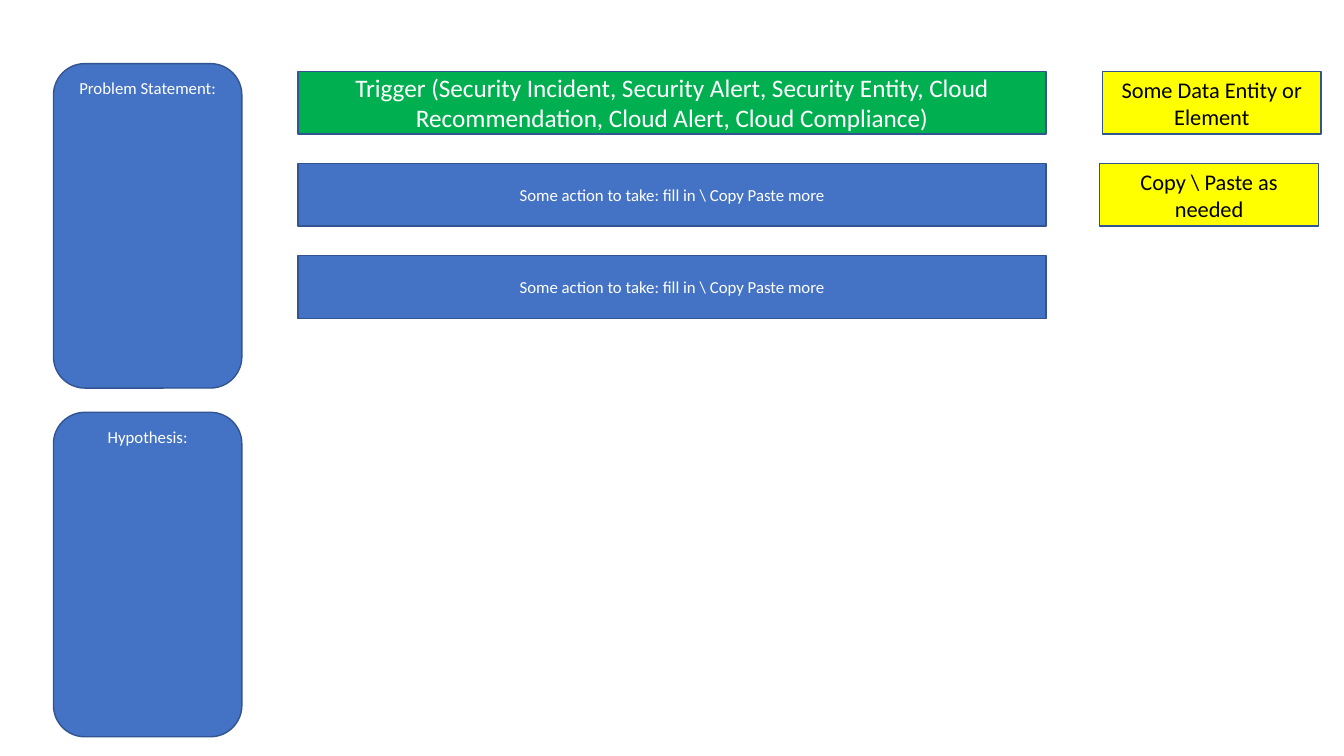
import pptx
import pptx.dml.color
import pptx.enum.shapes
import pptx.enum.text
import pptx.util

Pt = pptx.util.Pt
SHAPES = pptx.enum.shapes.MSO_SHAPE
ANCHOR = pptx.enum.text.MSO_ANCHOR

COLOURS = {
    "blue": "4472C4",
    "outline": "325491",
    "green": "00B050",
    "yellow": "FFFF00",
    "white": "FFFFFF",
    "black": "000000",
}


def colour(name):
    return pptx.dml.color.RGBColor.from_string(COLOURS[name])


def add_box(text, *, left, top, width, height, kind=SHAPES.RECTANGLE, fill="blue",
            size=12, ink="white", anchor=ANCHOR.MIDDLE):
    box = page.shapes.add_shape(kind, Pt(left), Pt(top), Pt(width), Pt(height))
    box.shadow.inherit = False
    box.fill.solid()
    box.fill.fore_color.rgb = colour(fill)
    box.line.color.rgb = colour("outline")
    box.line.width = Pt(1)
    frame = box.text_frame
    frame.word_wrap = True
    frame.vertical_anchor = anchor
    para = frame.paragraphs[0]
    para.alignment = pptx.enum.text.PP_ALIGN.CENTER
    span = para.add_run()
    span.text = text
    span.font.name = "Calibri"
    span.font.size = Pt(size)
    span.font.color.rgb = colour(ink)


deck = pptx.Presentation()
deck.slide_width = Pt(960)
deck.slide_height = Pt(540)
page = deck.slides.add_slide(deck.slide_layouts[6])

# Left column: problem and hypothesis
for index, heading in enumerate(["Problem Statement:", "Hypothesis:"]):
    add_box(heading, left=38.2, top=45.4 + index * 249.1, width=134.6, height=231.8,
            kind=SHAPES.ROUNDED_RECTANGLE, anchor=ANCHOR.TOP)

# Rows shared by the steps and the data elements
row_top, row_pitch, row_height = 51, 65.8, 44.7

# Middle column: trigger, then actions
action = "Some action to take: fill in \\ Copy Paste more"
steps = [
    ("Trigger (Security Incident, Security Alert, Security Entity, Cloud "
     "Recommendation, Cloud Alert, Cloud Compliance)", "green", 18),
    (action, "blue", 12),
    (action, "blue", 12),
]
for row, (text, fill, size) in enumerate(steps):
    add_box(text, left=213, top=row_top + row * row_pitch, width=534.3,
            height=row_height, fill=fill, size=size)

# Right column: data elements
elements = [("Some Data Entity or Element", 787.5), ("Copy \\ Paste as needed", 785.6)]
for row, (text, left) in enumerate(elements):
    add_box(text, left=left, top=row_top + row * row_pitch, width=156.2,
            height=row_height, fill="yellow", size=16, ink="black")

deck.save("out.pptx")
